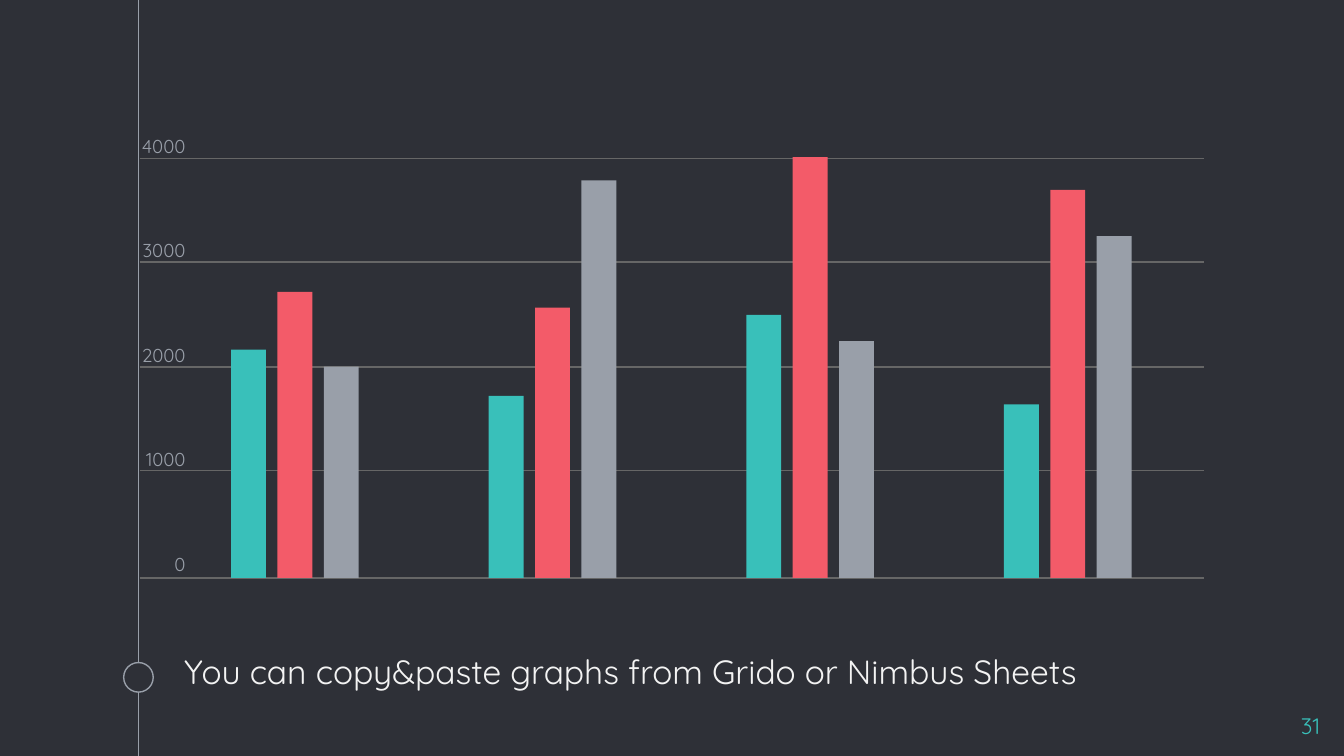
import dataclasses

import pptx
import pptx.dml.color
import pptx.enum.shapes
import pptx.enum.text
import pptx.oxml.ns
import pptx.util
from lxml import etree
from pptx.util import Inches


@dataclasses.dataclass(frozen=True)
class Theme:
    font: str = "Quicksand"
    background: str = "2E3037"
    grid: str = "666666"
    teal: str = "39C0BA"
    coral: str = "F35B69"
    gray: str = "999FA9"
    caption: str = "F3F3F3"
    caption_size: float = 18
    number_size: float = 12
    label_size: float = 10
    line_width: float = 0.75


@dataclasses.dataclass(frozen=True)
class Series:
    color: str
    values: tuple[int, ...]


@dataclasses.dataclass(frozen=True)
class Plot:
    left: float = 1.04
    right: float = 8.96
    base: float = 4.3
    height: float = 3.13
    maximum: int = 4000
    first_bar: float = 1.72
    last_group: float = 7.47
    bar_step: float = 0.69 / 2
    bar_width: float = 0.26


THEME = Theme()
PLOT = Plot()
PAGE_WIDTH = 10
PAGE_HEIGHT = PAGE_WIDTH * 9 / 16
GRID_LINES = (1.18, 1.95, 2.73, 3.5, PLOT.base)
AXIS_LABELS = ("4000", "3000", "2000", "1000", "0")
SERIES = (
    Series(THEME.teal, (2170, 1730, 2500, 1650)),
    Series(THEME.coral, (2720, 2570, 4000, 3690)),
    Series(THEME.gray, (2010, 3780, 2250, 3250)),
)


def rgb(color: str) -> pptx.dml.color.RGBColor:
    return pptx.dml.color.RGBColor.from_string(color)


def draw_line(page, start: tuple[float, float], end: tuple[float, float], color: str) -> None:
    line = page.shapes.add_connector(
        pptx.enum.shapes.MSO_CONNECTOR.STRAIGHT, *map(Inches, start + end)
    )
    line.line.color.rgb = rgb(color)
    line.line.width = pptx.util.Pt(THEME.line_width)
    etree.SubElement(line._element.spPr, pptx.oxml.ns.qn("a:effectLst"))


def draw_shape(page, kind, left: float, top: float, width: float, height: float, fill: str):
    shape = page.shapes.add_shape(kind, *map(Inches, (left, top, width, height)))
    shape.shadow.inherit = False
    shape.fill.solid()
    shape.fill.fore_color.rgb = rgb(fill)
    shape.line.fill.background()
    return shape


def write_text(box, text: str, size: float, color: str, inset: float = 0.1, align=None) -> None:
    frame = box.text_frame
    frame.word_wrap = True
    frame.auto_size = pptx.enum.text.MSO_AUTO_SIZE.NONE
    frame.margin_left = frame.margin_right = Inches(inset)
    frame.margin_top = frame.margin_bottom = Inches(inset)
    frame.text = text
    for para in frame.paragraphs:
        para.alignment = align
        for span in para.runs:
            span.font.name = THEME.font
            span.font.size = pptx.util.Pt(size)
            span.font.color.rgb = rgb(color)


def draw_timeline(page) -> None:
    draw_line(page, (1.03, 0), (1.03, PAGE_HEIGHT), THEME.gray)
    ring = draw_shape(
        page, pptx.enum.shapes.MSO_SHAPE.OVAL, 0.92, 4.93, 0.22, 0.22, THEME.background
    )
    ring.line.color.rgb = rgb(THEME.gray)
    ring.line.width = pptx.util.Pt(THEME.line_width)


def draw_caption(page) -> None:
    page.shapes.title._element.getparent().remove(page.shapes.title._element)
    body = page.placeholders[1]
    body.left, body.top, body.width, body.height = map(Inches, (1.27, 4.74, 8.23, 0.47))
    write_text(
        body,
        "You can copy&paste graphs from Grido or Nimbus Sheets",
        THEME.caption_size,
        THEME.caption,
    )
    para = body.text_frame.paragraphs[0]
    para.space_before = pptx.util.Pt(3.6)
    properties = para._p.get_or_add_pPr()
    properties.set("marL", "0")
    properties.set("indent", "0")
    etree.SubElement(properties, pptx.oxml.ns.qn("a:buNone"))


def draw_page_number(page) -> None:
    box = page.shapes.add_textbox(*map(Inches, (9.32, 5.2, 0.6, 0.34)))
    write_text(
        box, "31", THEME.number_size, THEME.teal, align=pptx.enum.text.PP_ALIGN.RIGHT
    )


def draw_axis(page) -> None:
    for height in GRID_LINES:
        draw_line(page, (PLOT.left, height), (PLOT.right, height), THEME.grid)
    box = page.shapes.add_textbox(*map(Inches, (PLOT.left, 1, 0.34, 3.31)))
    write_text(
        box,
        "\n".join(AXIS_LABELS),
        THEME.label_size,
        THEME.gray,
        inset=0,
        align=pptx.enum.text.PP_ALIGN.RIGHT,
    )
    for para in box.text_frame.paragraphs[1:]:
        para.space_before = pptx.util.Pt(44)


def draw_bars(page) -> None:
    groups = len(SERIES[0].values)
    group_step = (PLOT.last_group - PLOT.first_bar) / (groups - 1)
    for group in range(groups):
        for position, series in enumerate(SERIES):
            left = PLOT.first_bar + group * group_step + position * PLOT.bar_step
            height = PLOT.height * series.values[group] / PLOT.maximum
            draw_shape(
                page,
                pptx.enum.shapes.MSO_SHAPE.RECTANGLE,
                left,
                PLOT.base - height,
                PLOT.bar_width,
                height,
                series.color,
            )


def main() -> None:
    deck = pptx.Presentation()
    deck.slide_width, deck.slide_height = Inches(PAGE_WIDTH), Inches(PAGE_HEIGHT)
    page = deck.slides.add_slide(deck.slide_layouts[1])
    page.background.fill.solid()
    page.background.fill.fore_color.rgb = rgb(THEME.background)
    draw_timeline(page)
    draw_caption(page)
    draw_page_number(page)
    draw_axis(page)
    draw_bars(page)
    deck.save("out.pptx")


if __name__ == "__main__":
    main()
